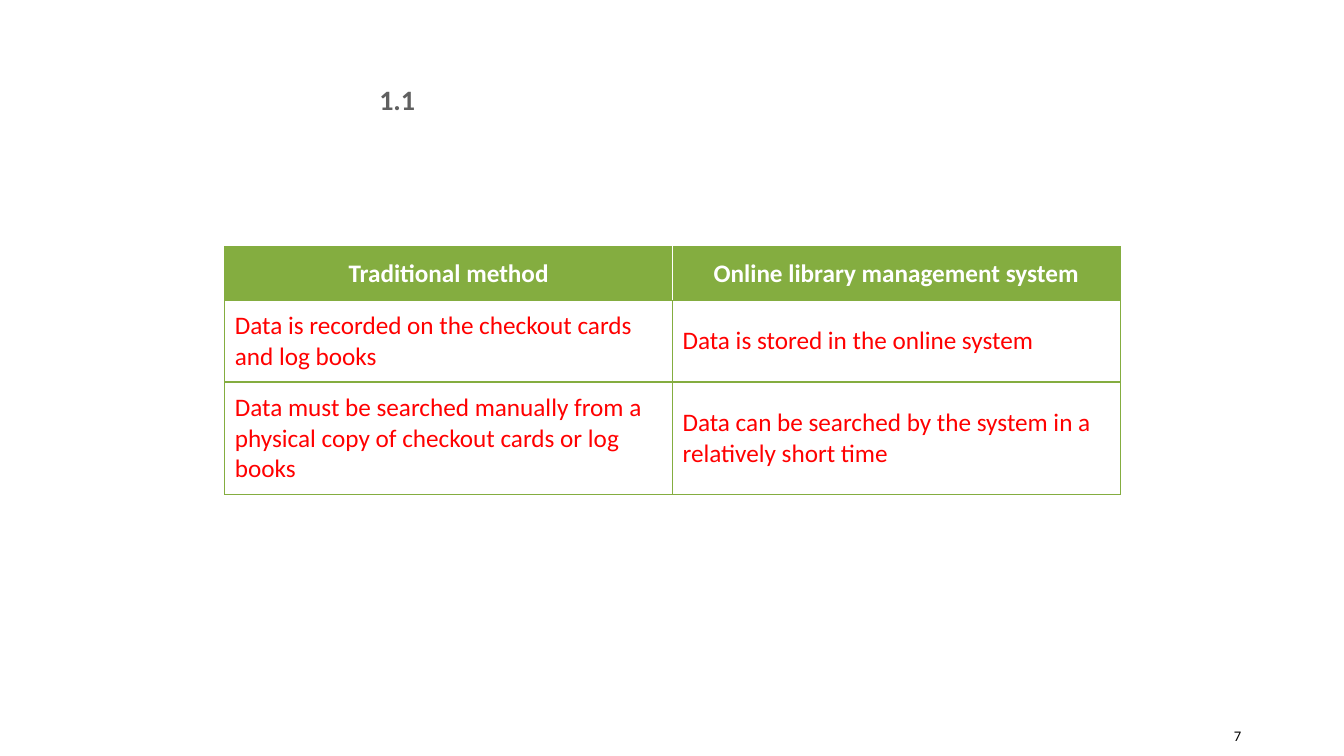
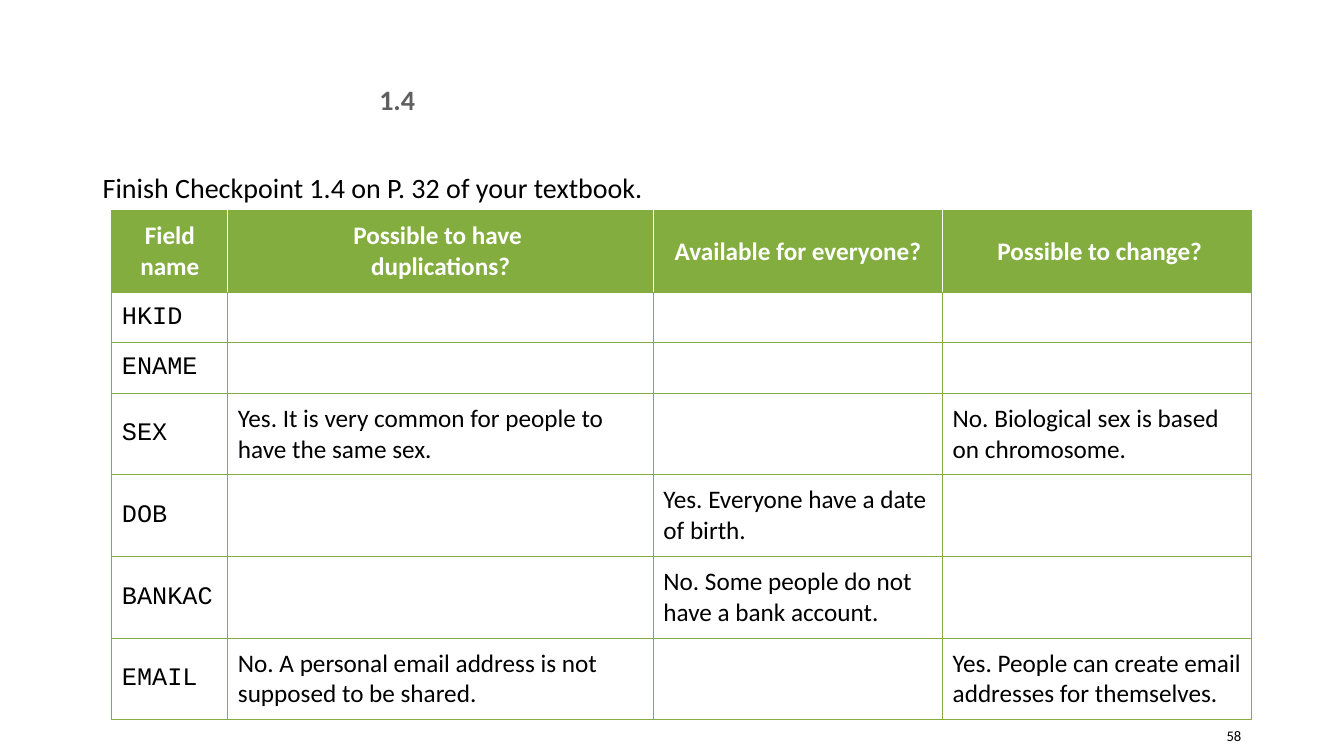
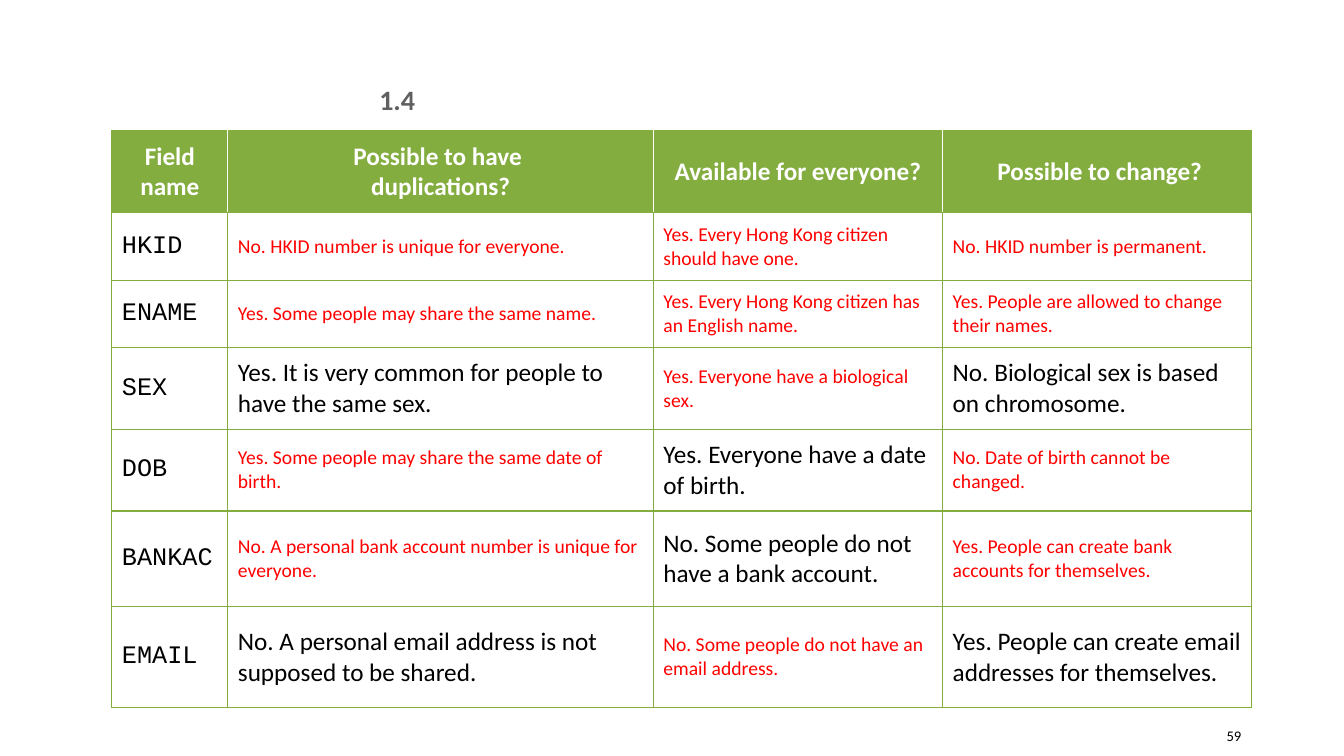
from lxml.etree import SubElement
from pptx import Presentation
from pptx.dml.color import RGBColor
from pptx.enum.text import MSO_ANCHOR as Anchor, PP_ALIGN as Align
from pptx.oxml.ns import qn
from pptx.util import Inches, Pt

GREEN = RGBColor(0x84, 0xAD, 0x40)
WHITE = RGBColor(0xFF, 0xFF, 0xFF)
BLACK = RGBColor(0, 0, 0)
RED = RGBColor(0xFF, 0, 0)
GREY = RGBColor(0x60, 0x60, 0x60)


def style(color, size, align=Align.LEFT, name="Calibri", bold=False):
    """Bundle a colour, an alignment and font values."""
    return color, align, {"name": name, "size": Pt(size), "bold": bold}


NUMBER = style(GREY, 20, Align.CENTER, bold=True)
PAGE = style(BLACK, 10.5, Align.RIGHT)
TASK = style(BLACK, 20)
HEADING = style(WHITE, 18, Align.CENTER, bold=True)
FIELD = style(BLACK, 18, name="Courier New")
GIVEN = style(BLACK, 18)
ANSWER = style(RED, 18)
SMALL_ANSWER = style(RED, 14)

METHODS = [
    ("Traditional method", "Online library management system"),
    ("Data is recorded on the checkout cards and log books",
     "Data is stored in the online system"),
    ("Data must be searched manually from a physical copy of checkout cards or log books",
     "Data can be searched by the system in a relatively short time"),
]
QUESTIONS = ("Field name", "Possible to have \nduplications?",
             "Available for everyone?", " Possible to change?")
FIELDS = [
    ("HKID", "No. HKID number is unique for everyone.",
     "Yes. Every Hong Kong citizen should have one.",
     "No. HKID number is permanent."),
    ("ENAME", "Yes. Some people may share the same name.",
     "Yes. Every Hong Kong citizen has an English name.",
     "Yes. People are allowed to change their names."),
    ("SEX", "Yes. It is very common for people to have the same sex.",
     "Yes. Everyone have a biological sex.",
     "No. Biological sex is based on chromosome."),
    ("DOB", "Yes. Some people may share the same date of birth.",
     "Yes. Everyone have a date of birth.",
     "No. Date of birth cannot be changed."),
    ("BANKAC", "No. A personal bank account number is unique for everyone.",
     "No. Some people do not have a bank account.",
     "Yes. People can create bank accounts for themselves."),
    ("EMAIL", "No. A personal email address is not supposed to be shared.",
     "No. Some people do not have an email address.",
     "Yes. People can create email addresses for themselves."),
]
GIVEN_COLUMNS = {"SEX": (1, 3), "DOB": (2,), "BANKAC": (2,), "EMAIL": (1, 3)}
FIELD_WIDTHS = (1.15, 4.22, 2.87, 3.06)


def write(frame, text, look):
    """Fill a text frame, one paragraph per line, in the given style."""
    color, align, values = look
    frame.word_wrap = True
    for index, line in enumerate(text.split("\n")):
        paragraph = frame.add_paragraph() if index else frame.paragraphs[0]
        paragraph.alignment = align
        run = paragraph.add_run()
        run.text = line
        for key, value in values.items():
            setattr(run.font, key, value)
        run.font.color.rgb = color


def add_text(slide, box, text, look, anchor=Anchor.MIDDLE):
    """Place a text box and return its frame."""
    frame = slide.shapes.add_textbox(*map(Inches, box)).text_frame
    frame.vertical_anchor = anchor
    write(frame, text, look)
    return frame


def set_borders(cell, left, right):
    """Draw the four cell borders, green at top and bottom."""
    properties = cell._tc.get_or_add_tcPr()
    sides = {"a:lnL": left, "a:lnR": right, "a:lnT": GREEN, "a:lnB": GREEN}
    for index, (tag, color) in enumerate(sides.items()):
        line = SubElement(properties, qn(tag), w=str(Pt(1)))
        fill = SubElement(line, qn("a:solidFill"))
        SubElement(fill, qn("a:srgbClr"), val=str(color))
        properties.insert(index, line)


def add_grid(slide, left, top, widths, heights, rows):
    """Build a green-ruled table from rows of (text, style) pairs."""
    size = (left, top, sum(widths), sum(heights))
    table = slide.shapes.add_table(len(rows), len(widths), *map(Inches, size)).table
    table.first_row = table.horz_banding = False
    for column, width in zip(table.columns, widths):
        column.width = Inches(width)
    for row, height in zip(table.rows, heights):
        row.height = Inches(height)
    last = len(widths) - 1
    for r, row in enumerate(rows):
        divider = GREEN if r else WHITE
        for c, (text, look) in enumerate(row):
            cell = table.cell(r, c)
            cell.fill.solid()
            cell.fill.fore_color.rgb = WHITE if r else GREEN
            set_borders(cell, divider if c else GREEN, divider if c < last else GREEN)
            cell.vertical_anchor = Anchor.MIDDLE
            if text:
                for side in ("left", "right", "top", "bottom"):
                    setattr(cell, f"margin_{side}", Inches(0.1))
                write(cell.text_frame, text, look)


def headings(texts):
    """Style the texts of a heading row."""
    return [(text, HEADING) for text in texts]


def field_row(texts, solved):
    """Style one field row, with its answers shown only when solved."""
    field, *replies = texts
    row = [(field, FIELD)]
    for column, reply in enumerate(replies, 1):
        if column in GIVEN_COLUMNS.get(field, ()):
            row.append((reply, GIVEN))
        else:
            row.append((reply if solved else "", SMALL_ANSWER))
    return row


def add_checkpoint(deck, number, page):
    """Add a blank slide with its checkpoint and page numbers."""
    slide = deck.slides.add_slide(deck.slide_layouts[6])
    add_text(slide, (11.57, 7.1, 0.84, 0.4), page, PAGE)
    add_text(slide, (3.47, 0.83, 0.94, 0.31), number, NUMBER)
    return slide


def methods_slide(deck):
    """Compare the traditional and online methods."""
    slide = add_checkpoint(deck, "1.1", "7")
    rows = [headings(METHODS[0])]
    rows += [[(text, ANSWER) for text in pair] for pair in METHODS[1:]]
    add_grid(slide, 2.23, 2.45, (4.44, 4.44), (0.53, 0.81, 1.12), rows)


def fields_slide(deck, page, top, heights, solved):
    """Show the field table, and return its slide."""
    slide = add_checkpoint(deck, "1.4", page)
    rows = [headings(QUESTIONS)] + [field_row(texts, solved) for texts in FIELDS]
    add_grid(slide, 1.11, top, FIELD_WIDTHS, heights, rows)
    return slide


def main():
    """Build and save the deck."""
    deck = Presentation()
    deck.slide_width, deck.slide_height = Inches(13.33), Inches(7.5)
    methods_slide(deck)
    exercise = fields_slide(deck, "58", 2.09, (0.81, 0.48, 0.48) + (0.81,) * 4, False)
    task = add_text(exercise, (0.92, 1.58, 11.5, 0.5),
                    "Finish Checkpoint 1.4 on P. 32 of your textbook.", TASK, Anchor.TOP)
    task.paragraphs[0].line_spacing = 1.2
    fields_slide(deck, "59", 1.3, (0.81, 0.67, 0.67, 0.81, 0.81, 0.95, 1), True)
    deck.save("out.pptx")


if __name__ == "__main__":
    main()
